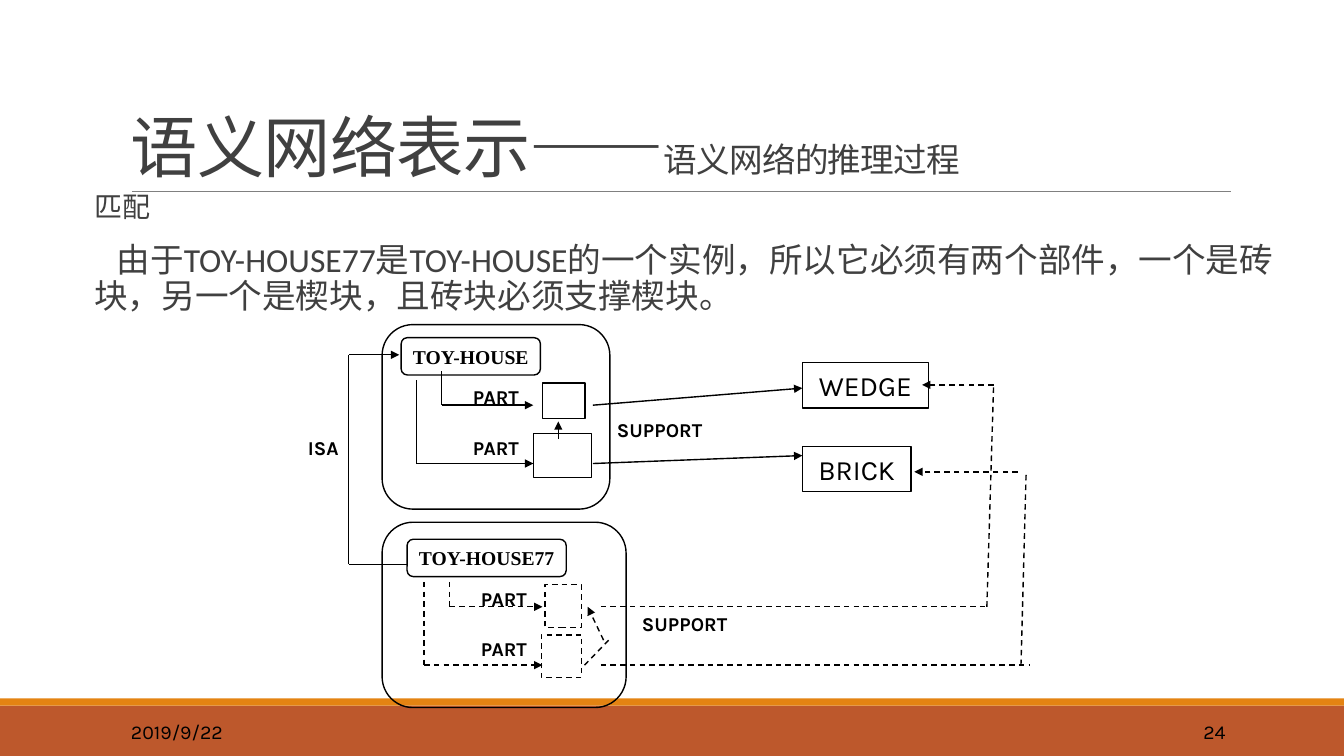
"""Build the slide on matching as an inference process in semantic networks."""
from dataclasses import dataclass
from typing import Optional

import lxml.etree
import pptx
import pptx.dml.color
import pptx.enum.dml
import pptx.enum.shapes
import pptx.enum.text
import pptx.oxml.ns
import pptx.shapes.autoshape
import pptx.shapes.shapetree
import pptx.text.text
import pptx.util

Cm = pptx.util.Cm
Pt = pptx.util.Pt
qn = pptx.oxml.ns.qn
Align = pptx.enum.text.PP_ALIGN
Anchor = pptx.enum.text.MSO_ANCHOR
Preset = pptx.enum.shapes.MSO_SHAPE
Shapes = pptx.shapes.shapetree.SlideShapes
RECT = Preset.RECTANGLE
ROUND = Preset.FLOWCHART_ALTERNATE_PROCESS


@dataclass(frozen=True)
class Theme:
    ink: str = "000000"
    text: str = "404040"
    rule: str = "808080"
    footer: str = "BD582C"
    stripe: str = "E48312"
    sans: str = "Calibri"
    serif: str = "Times New Roman"
    label: str = "Karla"
    title: int = 48
    large: int = 24
    medium: int = 20
    small: int = 14


THEME = Theme()


@dataclass(frozen=True)
class Style:
    size: int
    font: str
    color: str = THEME.ink
    bold: bool = False
    spacing: int = 0


NODE = Style(THEME.small, THEME.serif, bold=True)
LINK = Style(THEME.small, THEME.label, bold=True)
CONCEPT = Style(THEME.medium, THEME.label)
FOOTER = Style(THEME.small, THEME.label)
TITLE = Style(THEME.title, THEME.serif, THEME.text, spacing=-50)
SUBTITLE = Style(THEME.large, THEME.sans, THEME.text, spacing=-50)
HEADING = Style(THEME.medium, THEME.sans, THEME.text)
BODY = Style(THEME.large, THEME.sans, THEME.text)


@dataclass(frozen=True)
class Box:
    x: float
    y: float
    w: float
    h: float
    preset: pptx.enum.shapes.MSO_SHAPE = RECT
    text: str = ""
    style: Style = CONCEPT
    dashed: bool = False
    wrap: bool = True


@dataclass(frozen=True)
class Label:
    x: float
    y: float
    w: float
    text: str


@dataclass(frozen=True)
class Route:
    points: tuple[tuple[float, float], ...]
    dashed: bool = False
    arrow: bool = True


BOXES = [
    Box(9.63, 8.18, 5.74, 4.65, ROUND),
    Box(9.63, 13.16, 6.15, 4.67, ROUND),
    Box(10.11, 8.51, 3.51, 0.94, ROUND, "TOY-HOUSE", NODE, wrap=False),
    Box(10.26, 13.59, 4.01, 0.94, ROUND, "TOY-HOUSE77", NODE, wrap=False),
    Box(13.67, 9.65, 1.07, 0.89),
    Box(13.44, 10.92, 1.47, 1.12),
    Box(13.74, 14.73, 0.91, 1.09, dashed=True),
    Box(13.64, 16, 1.02, 1.07, dashed=True),
    Box(20.22, 9.14, 3.18, 1.14, text="WEDGE"),
    Box(20.22, 11.25, 2.74, 1.14, text="BRICK"),
]

LABELS = [
    Label(11.33, 9.58, 2.34, "PART"),
    Label(11.33, 10.85, 2.34, "PART"),
    Label(11.53, 14.66, 2.34, "PART"),
    Label(11.53, 15.93, 2.34, "PART"),
    Label(15.14, 10.41, 2.97, "SUPPORT"),
    Label(15.77, 15.29, 2.97, "SUPPORT"),
    Label(6.88, 10.85, 2.54, "ISA"),
]

ROUTES = [
    Route(((11.13, 9.35), (11.13, 10.21), (13.44, 10.21))),
    Route(((10.49, 9.58), (10.49, 11.68), (13.44, 11.68))),
    Route(((11.33, 14.66), (11.33, 15.29), (13.67, 15.29)), dashed=True),
    Route(((10.69, 14.66), (10.69, 16.76), (13.67, 16.76)), dashed=True),
    Route(((14.07, 11.05), (14.07, 10.62))),
    Route(((14.94, 10.21), (20.22, 9.78))),
    Route(((14.94, 11.68), (20.22, 11.48))),
    Route(((15.14, 15.29), (24.87, 15.29), (25.04, 9.7), (23.24, 9.7)), dashed=True),
    Route(((15.14, 16.76), (25.93, 16.76)), dashed=True, arrow=False),
    Route(((25.73, 16.76), (25.86, 11.89)), dashed=True, arrow=False),
    Route(((25.65, 11.89), (23.04, 11.89)), dashed=True),
    Route(((14.73, 16.76), (15.34, 16.13)), dashed=True, arrow=False),
    Route(((15.21, 16.13), (14.81, 15.29)), dashed=True),
    Route(((10.26, 14.22), (8.79, 14.22), (8.79, 8.94), (10.06, 8.94))),
]


def rgb(color: str) -> pptx.dml.color.RGBColor:
    return pptx.dml.color.RGBColor.from_string(color)


def add_run(p: pptx.text.text._Paragraph, text: str, style: Style) -> None:
    r = p.add_run()
    r.text = text
    r.font.size, r.font.name, r.font.bold = Pt(style.size), style.font, style.bold
    r.font.color.rgb = rgb(style.color)
    if style.spacing:
        r.font._element.set("spc", str(style.spacing))


def add_text(shapes: Shapes, x: float, y: float, w: float, h: float,
             anchor: Anchor = Anchor.TOP) -> pptx.text.text.TextFrame:
    tf = shapes.add_textbox(Cm(x), Cm(y), Cm(w), Cm(h)).text_frame
    tf.word_wrap, tf.vertical_anchor = True, anchor
    return tf


def add_line(shapes: Shapes, start: tuple[float, float], end: tuple[float, float],
             color: str = THEME.ink, width: float = 1, dashed: bool = False,
             arrow: bool = False) -> None:
    line = shapes.add_connector(pptx.enum.shapes.MSO_CONNECTOR.STRAIGHT,
                                *map(Cm, start), *map(Cm, end))
    line.line.color.rgb, line.line.width = rgb(color), Pt(width)
    if dashed:
        line.line.dash_style = pptx.enum.dml.MSO_LINE.DASH
    if arrow:
        lxml.etree.SubElement(line.line._get_or_add_ln(), qn("a:tailEnd"), type="triangle")
    lxml.etree.SubElement(line._element.spPr, qn("a:effectLst"))


def add_box(shapes: Shapes, box: Box, fill: Optional[str] = None) -> None:
    sp = shapes.add_shape(box.preset, Cm(box.x), Cm(box.y), Cm(box.w), Cm(box.h))
    sp.shadow.inherit = False
    if fill:
        sp.fill.solid()
        sp.fill.fore_color.rgb = rgb(fill)
        sp.line.fill.background()
        return
    sp.fill.background()
    sp.line.color.rgb, sp.line.width = rgb(THEME.ink), Pt(1)
    if box.dashed:
        sp.line.dash_style = pptx.enum.dml.MSO_LINE.DASH
    if box.text:
        tf = sp.text_frame
        tf.word_wrap, tf.vertical_anchor = box.wrap, Anchor.MIDDLE
        tf.paragraphs[0].alignment = Align.CENTER
        add_run(tf.paragraphs[0], box.text, box.style)


def add_frame(shapes: Shapes) -> None:
    add_box(shapes, Box(0, 17.78, 33.87, 1.27), THEME.footer)
    add_box(shapes, Box(0, 17.6, 33.87, 0.18), THEME.stripe)
    add_line(shapes, (3.33, 4.83), (31.01, 4.83), THEME.rule, 0.5)
    for x, w, text, align in ((3.05, 6.86, "2019/9/22", Align.LEFT),
                              (27.51, 3.63, "24", Align.RIGHT)):
        p = add_text(shapes, x, 17.93, w, 1.02, Anchor.MIDDLE).paragraphs[0]
        p.alignment = align
        add_run(p, text, FOOTER)


def add_prose(shapes: Shapes) -> None:
    p = add_text(shapes, 3.05, 0.79, 27.94, 4.04, Anchor.BOTTOM).paragraphs[0]
    p.line_spacing = 0.85
    add_run(p, "语义网络表示——", TITLE)
    add_run(p, "语义网络的推理过程", SUBTITLE)
    tf = add_text(shapes, 2.13, 4.75, 30.25, 4.19)
    tf.margin_left = tf.margin_right = 0
    heading, body = tf.paragraphs[0], tf.add_paragraph()
    for p, indent in ((heading, 0), (body, 0.56)):
        p.line_spacing, p.space_after = 0.9, Pt(2)
        pPr = p._p.get_or_add_pPr()
        pPr.set("marL", str(Cm(0.25)))
        pPr.set("indent", str(Cm(indent)))
    body.space_before = Pt(12)
    add_run(heading, "匹配", HEADING)
    add_run(body, "由于TOY-HOUSE77是TOY-HOUSE的一个实例，所以它必须有两个部件，"
                  "一个是砖块，另一个是楔块，且砖块必须支撑楔块。", BODY)


def main() -> None:
    prs = pptx.Presentation()
    prs.slide_width, prs.slide_height = Cm(33.87), Cm(19.05)
    s = prs.slides.add_slide(prs.slide_layouts[6])
    add_frame(s.shapes)
    add_prose(s.shapes)
    for box in BOXES:
        add_box(s.shapes, box)
    for route in ROUTES:
        last = len(route.points) - 2
        for i, (start, end) in enumerate(zip(route.points, route.points[1:])):
            add_line(s.shapes, start, end, dashed=route.dashed,
                     arrow=route.arrow and i == last)
    for label in LABELS:
        p = add_text(s.shapes, label.x, label.y, label.w, 0.84).paragraphs[0]
        p.alignment = Align.CENTER
        add_run(p, label.text, LINK)
    prs.save("out.pptx")


if __name__ == "__main__":
    main()
